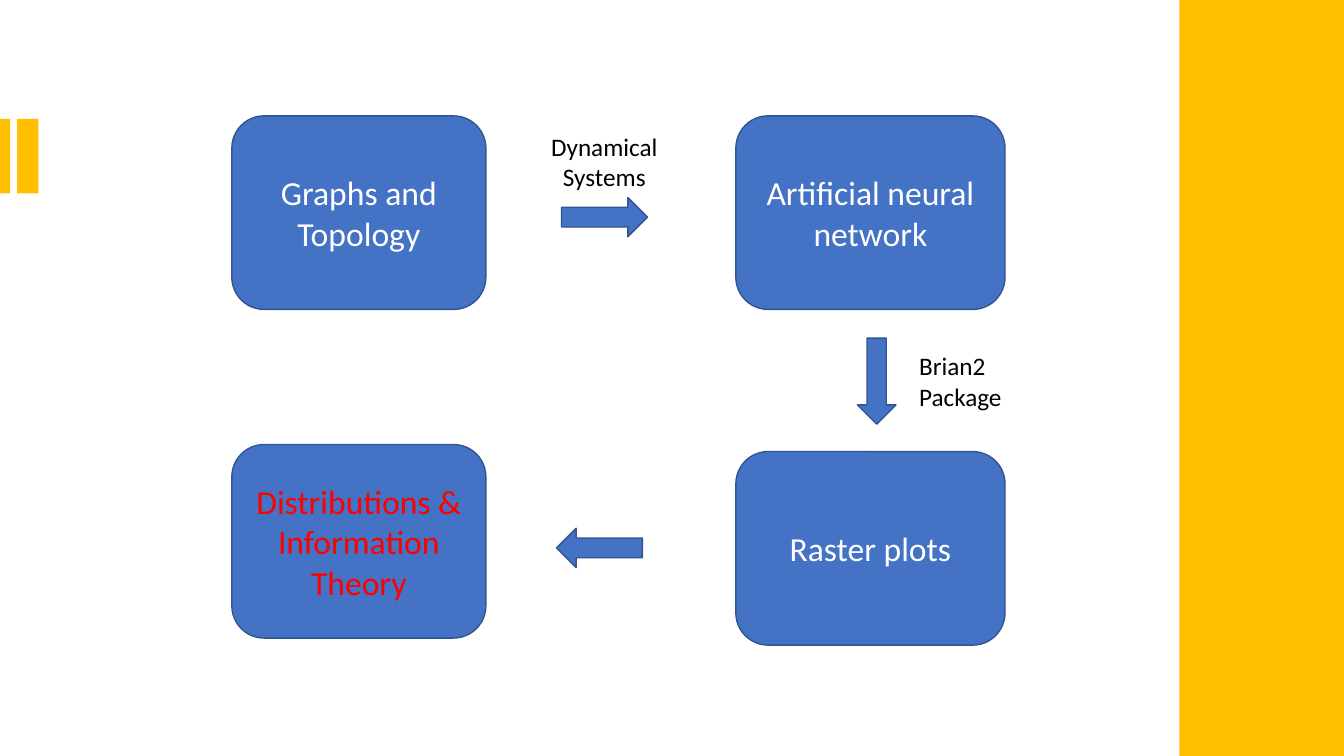
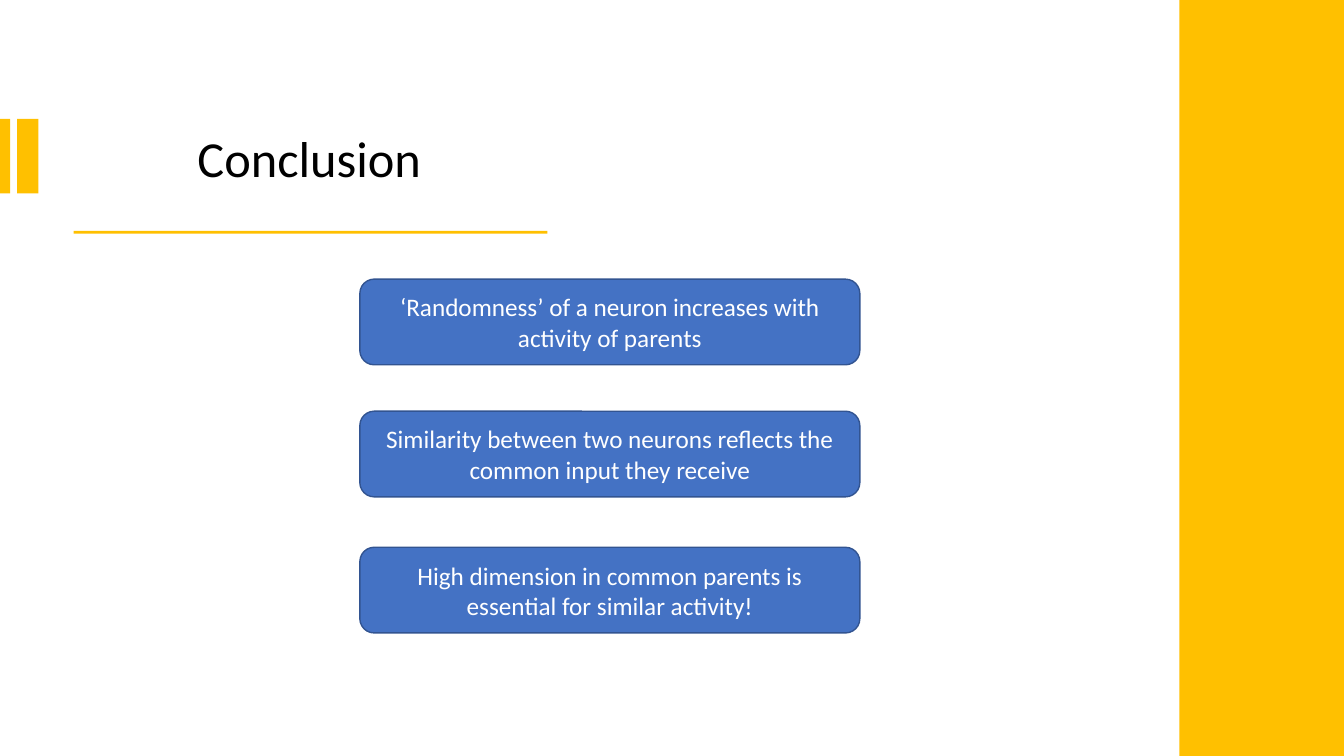
"""Build a process flow slide and a conclusion slide that share one yellow frame."""
from dataclasses import dataclass
from typing import Any

import pptx
import pptx.dml.color
import pptx.enum.shapes
import pptx.enum.text
import pptx.util

RGBColor = pptx.dml.color.RGBColor
Shape = pptx.enum.shapes.MSO_SHAPE
Align = pptx.enum.text.PP_ALIGN
Anchor = pptx.enum.text.MSO_ANCHOR
AutoSize = pptx.enum.text.MSO_AUTO_SIZE

YELLOW = RGBColor(0xFF, 0xC0, 0x00)
BLUE = RGBColor(0x44, 0x72, 0xC4)
DARK_BLUE = RGBColor(0x32, 0x54, 0x91)
WHITE = RGBColor(0xFF, 0xFF, 0xFF)
BLACK = RGBColor(0x00, 0x00, 0x00)
RED = RGBColor(0xFF, 0x00, 0x00)

FONT = "Calibri"
FLOW_SIZE, BODY_SIZE, TITLE_SIZE = 24, 18, 36
SLIDE_WIDTH = pptx.util.Inches(13.333)
SLIDE_HEIGHT = pptx.util.Inches(7.5)
BLANK_LAYOUT = 6


@dataclass(frozen=True)
class Area:
    """A rectangle in percent of the slide's width and height."""

    left: float
    top: float
    width: float
    height: float

    def lengths(self) -> tuple[int, int, int, int]:
        """Return left, top, width and height as slide lengths."""
        return (
            round(SLIDE_WIDTH * self.left / 100),
            round(SLIDE_HEIGHT * self.top / 100),
            round(SLIDE_WIDTH * self.width / 100),
            round(SLIDE_HEIGHT * self.height / 100),
        )


@dataclass(frozen=True)
class Card:
    """A rounded blue box with centred text."""

    text: str
    area: Area
    size: int
    color: RGBColor = WHITE


@dataclass(frozen=True)
class Arrow:
    """A block arrow, turned clockwise from pointing right."""

    area: Area
    rotation: int = 0


@dataclass(frozen=True)
class Label:
    """Plain text without a box."""

    text: str
    area: Area
    size: int = BODY_SIZE
    alignment: Any = Align.LEFT
    wrap: bool = True


MARKS = (Area(0, 15.73, 0.75, 9.87), Area(1.28, 15.73, 1.58, 9.87))
SIDE_BAND = Area(87.75, 0, 12.25, 100)
TITLE_RULE = Area(5.48, 30.53, 35.25, 0.4)

LEFT_COLUMN, RIGHT_COLUMN = (17.25, 18.9), (54.75, 20.03)
FLOW_TOP, FLOW_HEIGHT = 15.33, 25.6


def flow_area(column: tuple[float, float], top: float) -> Area:
    """Place a flow card in a column at the given height."""
    left, width = column
    return Area(left, top, width, FLOW_HEIGHT)


FLOW_CARDS = (
    Card("Graphs and\nTopology", flow_area(LEFT_COLUMN, FLOW_TOP), FLOW_SIZE),
    Card("Artificial neural network", flow_area(RIGHT_COLUMN, FLOW_TOP), FLOW_SIZE),
    Card("Raster plots", flow_area(RIGHT_COLUMN, 59.73), FLOW_SIZE),
    Card("Distributions & Information Theory", flow_area(LEFT_COLUMN, 58.8), FLOW_SIZE, RED),
)
FLOW_ARROWS = (
    Arrow(Area(41.78, 26.13, 6.4, 5.2)),
    Arrow(Area(62.03, 47.87, 6.4, 5.1), 90),
    Arrow(Area(41.4, 69.87, 6.4, 5.2), 180),
)
FLOW_LABELS = (
    Label("Brian2 Package", Area(67.65, 45.73, 9.83, 9.47)),
    Label("Dynamical Systems", Area(37.05, 16.67, 15.83, 9.47), alignment=Align.CENTER),
)

TITLE = Label("Conclusion", Area(13.95, 16.13, 18.3, 9.47), TITLE_SIZE, wrap=False)
CONCLUSIONS = (
    ("‘Randomness’ of a neuron increases with activity of parents", 36.93),
    ("Similarity between two neurons reflects the common input they receive", 54.4),
    ("High dimension in common parents is essential for similar activity!", 72.4),
)


def write_text(shape: Any, text: str, size: int, color: RGBColor, alignment: Any) -> None:
    """Fill a shape with paragraphs in one style."""
    shape.text_frame.text = text
    for paragraph in shape.text_frame.paragraphs:
        paragraph.alignment = alignment
        paragraph.font.name = FONT
        paragraph.font.size = pptx.util.Pt(size)
        paragraph.font.color.rgb = color


def add_block(shapes: Any, kind: Any, area: Area, fill: RGBColor, line: RGBColor | None = None) -> Any:
    """Add a flat preset shape, outlined only when a line colour is given."""
    shape = shapes.add_shape(kind, *area.lengths())
    shape.shadow.inherit = False
    shape.fill.solid()
    shape.fill.fore_color.rgb = fill
    if line is None:
        shape.line.fill.background()
    else:
        shape.line.color.rgb = line
        shape.line.width = pptx.util.Pt(1)
    return shape


def add_card(slide: Any, card: Card) -> None:
    """Draw a card."""
    shape = add_block(slide.shapes, Shape.ROUNDED_RECTANGLE, card.area, BLUE, DARK_BLUE)
    shape.text_frame.word_wrap = True
    shape.text_frame.vertical_anchor = Anchor.MIDDLE
    write_text(shape, card.text, card.size, card.color, Align.CENTER)


def add_arrow(slide: Any, arrow: Arrow) -> None:
    """Draw a block arrow."""
    shape = add_block(slide.shapes, Shape.RIGHT_ARROW, arrow.area, BLUE, DARK_BLUE)
    shape.rotation = arrow.rotation


def add_label(slide: Any, label: Label) -> None:
    """Draw a text box."""
    shape = slide.shapes.add_textbox(*label.area.lengths())
    shape.text_frame.word_wrap = label.wrap
    shape.text_frame.auto_size = AutoSize.SHAPE_TO_FIT_TEXT
    write_text(shape, label.text, label.size, BLACK, label.alignment)


def add_framed_slide(presentation: Any) -> Any:
    """Add a blank slide with the left marks and the side band."""
    slide = presentation.slides.add_slide(presentation.slide_layouts[BLANK_LAYOUT])
    marks = slide.shapes.add_group_shape()
    for area in MARKS:
        add_block(marks.shapes, Shape.RECTANGLE, area, YELLOW)
    add_block(slide.shapes, Shape.RECTANGLE, SIDE_BAND, YELLOW)
    return slide


def build_flow(presentation: Any) -> None:
    """Build the process flow slide."""
    slide = add_framed_slide(presentation)
    for card in FLOW_CARDS:
        add_card(slide, card)
    for arrow in FLOW_ARROWS:
        add_arrow(slide, arrow)
    for label in FLOW_LABELS:
        add_label(slide, label)


def build_conclusion(presentation: Any) -> None:
    """Build the conclusion slide."""
    slide = add_framed_slide(presentation)
    add_block(slide.shapes, Shape.RECTANGLE, TITLE_RULE, YELLOW)
    add_label(slide, TITLE)
    for text, top in CONCLUSIONS:
        add_card(slide, Card(text, Area(26.78, top, 37.2, 11.33), BODY_SIZE))


def main() -> None:
    """Create and save the presentation."""
    presentation = pptx.Presentation()
    presentation.slide_width = SLIDE_WIDTH
    presentation.slide_height = SLIDE_HEIGHT
    build_flow(presentation)
    build_conclusion(presentation)
    presentation.save("out.pptx")


if __name__ == "__main__":
    main()
